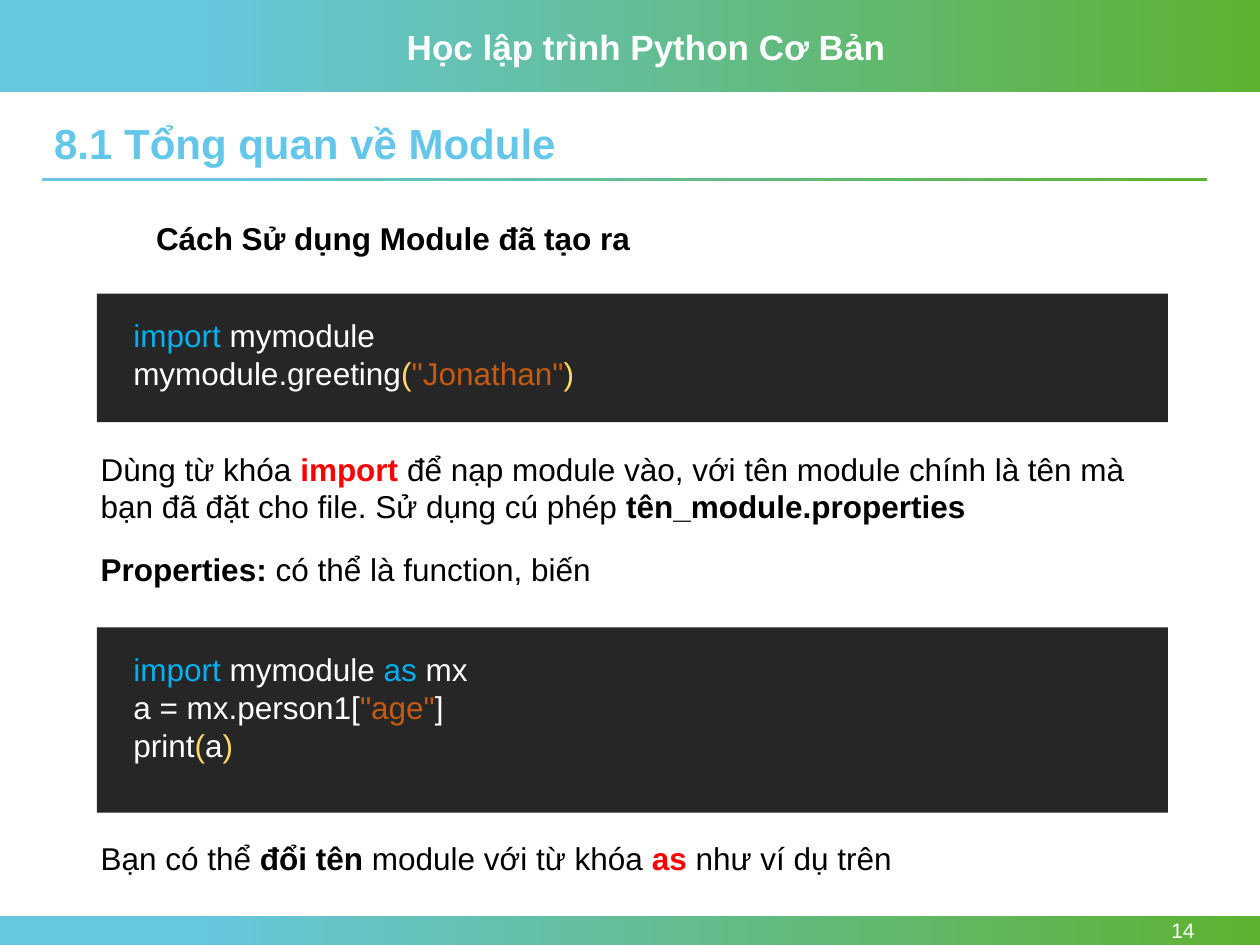
import pptx
import pptx.util
import pptx.dml.color
import pptx.enum.shapes
import pptx.enum.text

RGBColor = pptx.dml.color.RGBColor
ALIGN = pptx.enum.text.PP_ALIGN
ANCHOR = pptx.enum.text.MSO_ANCHOR

WHITE = RGBColor(0xFF, 0xFF, 0xFF)
BLACK = RGBColor(0, 0, 0)
RED = RGBColor(0xFF, 0, 0)
SKY = RGBColor(0x64, 0xC7, 0xE9)
BAR_BLUE = RGBColor(0x67, 0xC7, 0xDF)
BAR_GREEN = RGBColor(0x5E, 0xB1, 0x30)
CODE_BACK = RGBColor(0x26, 0x26, 0x26)
KEYWORD = RGBColor(0, 0xB0, 0xF0)
BRACKET = RGBColor(0xFF, 0xD9, 0x66)
STRING = RGBColor(0xC5, 0x5A, 0x11)

# Content: each paragraph is a list of (text, format) spans
BOLD = {"bold": True}
ALERT = {"bold": True, "color": RED}
KEY, MARK, QUOTE = {"color": KEYWORD}, {"color": BRACKET}, {"color": STRING}

HEADER = [[("Học lập trình Python Cơ Bản", BOLD)]]
TITLE = [[("8.1 Tổng quan về Module", BOLD)]]
SUBTITLE = [[("Cách Sử dụng Module đã tạo ra", BOLD)]]
PAGE_NUMBER = [[("14", {})]]

# (top, paragraphs)
NOTES = [
    (3.52, [[("Dùng từ khóa ", {}), ("import ", ALERT),
             ("để nạp module vào, với tên module chính là tên mà bạn đã đặt "
              "cho file. Sử dụng cú phép ", {}),
             ("tên_module.properties", BOLD)]]),
    (4.32, [[("Properties: ", BOLD), ("có thể là function, biến", {})]]),
    (6.61, [[("Bạn có thể ", {}), ("đổi tên", BOLD),
             (" module với từ khóa ", {}), ("as ", ALERT),
             ("như ví dụ trên", {})]]),
]

# (top, height, code lines)
CODE_BLOCKS = [
    (2.33, 1.02, [
        [("import ", KEY), ("mymodule", {})],
        [("mymodule.greeting", {}), ("(", MARK), ('"Jonathan"', QUOTE),
         (")", MARK)],
    ]),
    (4.98, 1.47, [
        [("import ", KEY), ("mymodule ", {}), ("as", KEY), (" mx", {})],
        [("a = mx.person1[", {}), ('"age"', QUOTE), ("]", {})],
        [("print", {}), ("(", MARK), ("a", {}), (")", MARK)],
    ]),
]

# Layout in inches
WIDTH, HEIGHT = 10, 7.5
HEADER_HEIGHT, FOOTER_HEIGHT = 0.73, 0.23
FOOTER_TOP = HEIGHT - FOOTER_HEIGHT
MARGIN, INNER_WIDTH = 0.33, 9.25
CODE_LEFT, CODE_WIDTH = 0.77, 8.5
CODE_PAD = 0.13
LINE_HEIGHT = 0.3

deck = pptx.Presentation()
deck.slide_width = pptx.util.Inches(WIDTH)
deck.slide_height = pptx.util.Inches(HEIGHT)
page = deck.slides.add_slide(deck.slide_layouts[5])


def inches(*values):
    return [pptx.util.Inches(value) for value in values]


def add_bar(left, top, width, height, color=None):
    """Add a rectangle, plain if a colour is given, else blue to green."""
    bar = page.shapes.add_shape(pptx.enum.shapes.MSO_SHAPE.RECTANGLE,
                                *inches(left, top, width, height))
    bar.shadow.inherit = False
    bar.line.fill.background()
    if color is not None:
        bar.fill.solid()
        bar.fill.fore_color.rgb = color
        return
    bar.fill.gradient()
    bar.fill.gradient_angle = 0
    stops = [(0.15, BAR_BLUE), (1, BAR_GREEN)]
    for stop, (position, stop_color) in zip(bar.fill.gradient_stops, stops):
        stop.position = position
        stop.color.rgb = stop_color


def add_text(paragraphs, left, top, width, height, box=None, size=18,
             color=BLACK, align=ALIGN.LEFT, anchor=ANCHOR.TOP, spacing=None):
    """Fill a new text box, or the given placeholder, with spans."""
    area = inches(left, top, width, height)
    if box is None:
        box = page.shapes.add_textbox(*area)
    else:
        box.left, box.top, box.width, box.height = area
    frame = box.text_frame
    frame.word_wrap = True
    frame.auto_size = pptx.enum.text.MSO_AUTO_SIZE.NONE
    frame.vertical_anchor = anchor
    for index, spans in enumerate(paragraphs):
        para = frame.add_paragraph() if index else frame.paragraphs[0]
        para.alignment = align
        if spacing:
            para.line_spacing = spacing
        for text, style in spans:
            span = para.add_run()
            span.text = text
            span.font.name = "Arial"
            span.font.size = pptx.util.Pt(size)
            span.font.bold = style.get("bold", False)
            span.font.color.rgb = style.get("color", color)


# Header, footer and title rule
add_bar(0, 0, WIDTH, HEADER_HEIGHT)
add_bar(0, FOOTER_TOP, WIDTH, FOOTER_HEIGHT)
add_bar(MARGIN, 1.41, INNER_WIDTH, 0.03)
add_text(HEADER, 3.13, 0.15, 4, 0.44, size=20, color=WHITE)
add_text(PAGE_NUMBER, 8.66, FOOTER_TOP, 0.92, FOOTER_HEIGHT, size=12,
         color=WHITE, align=ALIGN.RIGHT, anchor=ANCHOR.MIDDLE)

# Title and subtitle
add_text(TITLE, MARGIN, 0.93, INNER_WIDTH, 0.46, box=page.shapes.title,
         size=24, color=SKY, spacing=0.9)
add_text(SUBTITLE, 1.14, 1.69, 7.03, 0.4)

# Code blocks
for top, height, lines in CODE_BLOCKS:
    add_bar(CODE_LEFT, top, CODE_WIDTH, height, color=CODE_BACK)
    add_text(lines, 0.96, top + CODE_PAD, 8.1, 0.1 + LINE_HEIGHT * len(lines),
             color=WHITE)

# Explanations
for top, paragraphs in NOTES:
    rows = 2 if len(paragraphs[0]) == 4 and top < 4 else 1
    add_text(paragraphs, 0.7, top, 8.42, 0.1 + LINE_HEIGHT * rows)

deck.save("out.pptx")
